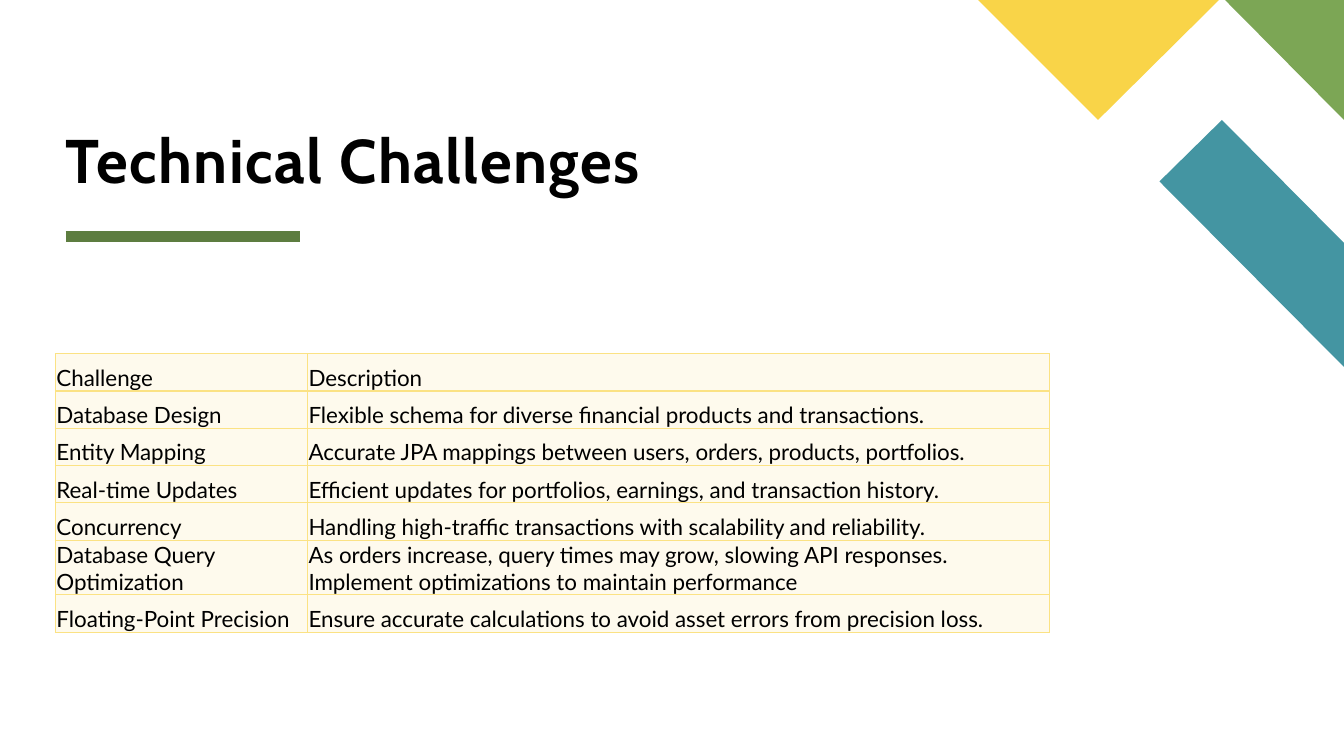
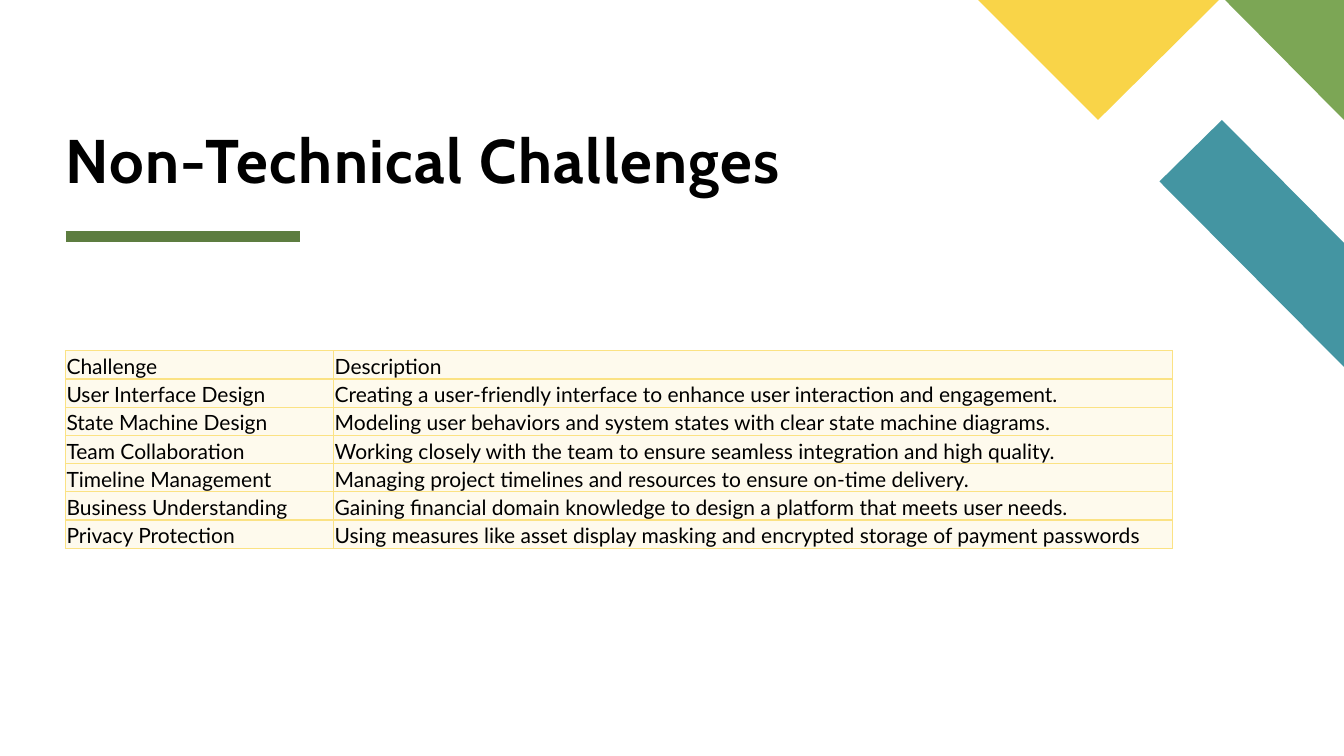
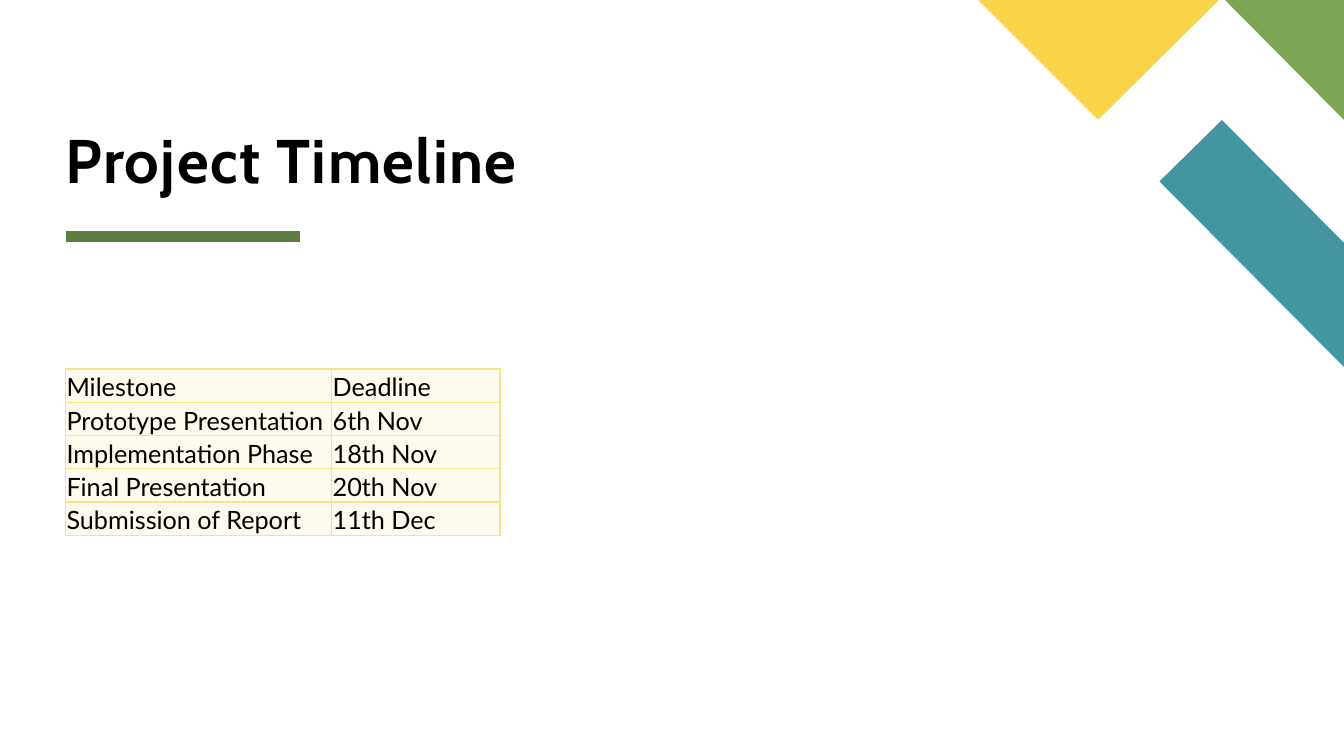
from dataclasses import dataclass

from lxml import etree
from pptx import Presentation
from pptx.dml.color import RGBColor
from pptx.enum.shapes import MSO_CONNECTOR
from pptx.enum.text import MSO_ANCHOR
from pptx.oxml.ns import qn
from pptx.util import Inches, Pt

STRAIGHT = MSO_CONNECTOR.STRAIGHT
BOTTOM = MSO_ANCHOR.BOTTOM


@dataclass(frozen=True)
class Theme:
    teal: str = "4495A2"
    green: str = "7CA655"
    yellow: str = "F9D448"
    rule: str = "5D7D40"
    ink: str = "000000"
    cell: str = "FEFAED"
    border: str = "FBE284"
    title_font: str = "Cabin"
    body_font: str = "Lato"
    title_size: int = 44
    rule_width: int = 8
    border_width: int = 1


THEME = Theme()

# Content: one entry per slide, the table's first row is its header
SLIDES = [
    {
        "title": "Technical Challenges",
        "left": 0.55, "top": 3.51, "columns": (2.5, 7.36),
        "row_height": 0.37, "size": 16,
        "rows": [
            ("Challenge", "Description"),
            ("Database Design", "Flexible schema for diverse financial products and transactions."),
            ("Entity Mapping", "Accurate JPA mappings between users, orders, products, portfolios."),
            ("Real-time Updates", "Efficient updates for portfolios, earnings, and transaction history."),
            ("Concurrency", "Handling high-traffic transactions with scalability and reliability."),
            ("Database Query Optimization",
             "As orders increase, query times may grow, slowing API responses. "
             "Implement optimizations to maintain performance"),
            ("Floating-Point Precision",
             "Ensure accurate calculations to avoid asset errors from precision loss."),
        ],
    },
    {
        "title": "Non-Technical Challenges",
        "left": 0.65, "top": 3.48, "columns": (2.66, 8.32),
        "row_height": 0.28, "size": 15,
        "rows": [
            ("Challenge", "Description"),
            ("User Interface Design",
             "Creating a user-friendly interface to enhance user interaction and engagement."),
            ("State Machine Design",
             "Modeling user behaviors and system states with clear state machine diagrams."),
            ("Team Collaboration",
             "Working closely with the team to ensure seamless integration and high quality."),
            ("Timeline Management",
             "Managing project timelines and resources to ensure on-time delivery."),
            ("Business Understanding",
             "Gaining financial domain knowledge to design a platform that meets user needs."),
            ("Privacy Protection",
             "Using measures like asset display masking and encrypted storage of payment passwords"),
        ],
    },
    {
        "title": "Project Timeline",
        "left": 0.65, "top": 3.66, "columns": (2.64, 1.67),
        "row_height": 0.33, "size": 18,
        "rows": [
            ("Milestone", "Deadline"),
            ("Prototype Presentation", "6th Nov"),
            ("Implementation Phase", "18th Nov"),
            ("Final Presentation", "20th Nov"),
            ("Submission of Report", "11th Dec"),
        ],
    },
]

# Corner decoration: colour and outline points in inches
CORNER = [
    (THEME.teal, [(13.33, 3.64), (13.33, 2.41), (12.12, 1.19), (11.5, 1.8)]),
    (THEME.green, [(13.33, 1.19), (13.33, 0), (12.15, 0)]),
    (THEME.yellow, [(9.7, 0), (10.89, 1.19), (12.09, 0)]),
]


def write_text(frame, text, *, font, size, bold=False, spacing=None, line_spacing=None):
    para = frame.paragraphs[0]
    if line_spacing:
        para.line_spacing = line_spacing
    span = para.add_run()
    span.text = text
    span.font.name = font
    span.font.size = Pt(size)
    span.font.bold = bold
    span.font.color.rgb = RGBColor.from_string(THEME.ink)
    if spacing:
        span.font._element.set("spc", str(spacing * 100))


def add_frame(page, title):
    """Draw what all slides share: corner shapes, rule and title."""
    for color, points in CORNER:
        corners = [(Inches(x), Inches(y)) for x, y in points]
        builder = page.shapes.build_freeform(*corners[0])
        builder.add_line_segments(corners[1:], close=True)
        shape = builder.convert_to_shape()
        shape.shadow.inherit = False
        shape.fill.solid()
        shape.fill.fore_color.rgb = RGBColor.from_string(color)
        shape.line.fill.background()

    rule = page.shapes.add_connector(
        STRAIGHT, Inches(0.65), Inches(2.35), Inches(2.98), Inches(2.35))
    rule.line.color.rgb = RGBColor.from_string(THEME.rule)
    rule.line.width = Pt(THEME.rule_width)
    etree.SubElement(rule._element.spPr, qn("a:effectLst"))

    box = page.shapes.add_textbox(Inches(0.65), Inches(0.22), Inches(12), Inches(1.72))
    frame = box.text_frame
    frame.word_wrap = True
    frame.vertical_anchor = BOTTOM
    frame.margin_left = frame.margin_right = frame.margin_top = frame.margin_bottom = 0
    write_text(frame, title, font=THEME.title_font, size=THEME.title_size,
               bold=True, spacing=1, line_spacing=0.8)


def add_borders(cell):
    properties = cell._tc.get_or_add_tcPr()
    for side in ("lnL", "lnR", "lnT", "lnB"):
        line = etree.SubElement(properties, qn(f"a:{side}"), w=str(Pt(THEME.border_width)))
        fill = etree.SubElement(line, qn("a:solidFill"))
        etree.SubElement(fill, qn("a:srgbClr"), val=THEME.border)


def add_grid(page, content):
    rows, columns = content["rows"], content["columns"]
    table = page.shapes.add_table(
        len(rows), len(columns), Inches(content["left"]), Inches(content["top"]),
        Inches(sum(columns)), Inches(content["row_height"] * len(rows))).table
    table.first_row = table.horz_banding = False
    for column, width in zip(table.columns, columns):
        column.width = Inches(width)
    for row, texts in zip(table.rows, rows):
        row.height = Inches(content["row_height"])
        for cell, text in zip(row.cells, texts):
            add_borders(cell)
            cell.fill.solid()
            cell.fill.fore_color.rgb = RGBColor.from_string(THEME.cell)
            cell.margin_left = cell.margin_right = cell.margin_top = Inches(0.01)
            cell.margin_bottom = 0
            cell.vertical_anchor = BOTTOM
            write_text(cell.text_frame, text, font=THEME.body_font, size=content["size"])


def main():
    deck = Presentation()
    deck.slide_width, deck.slide_height = Inches(13.33), Inches(7.5)
    blank = deck.slide_layouts[6]
    for content in SLIDES:
        page = deck.slides.add_slide(blank)
        add_frame(page, content["title"])
        add_grid(page, content)
    deck.save("out.pptx")


if __name__ == "__main__":
    main()
